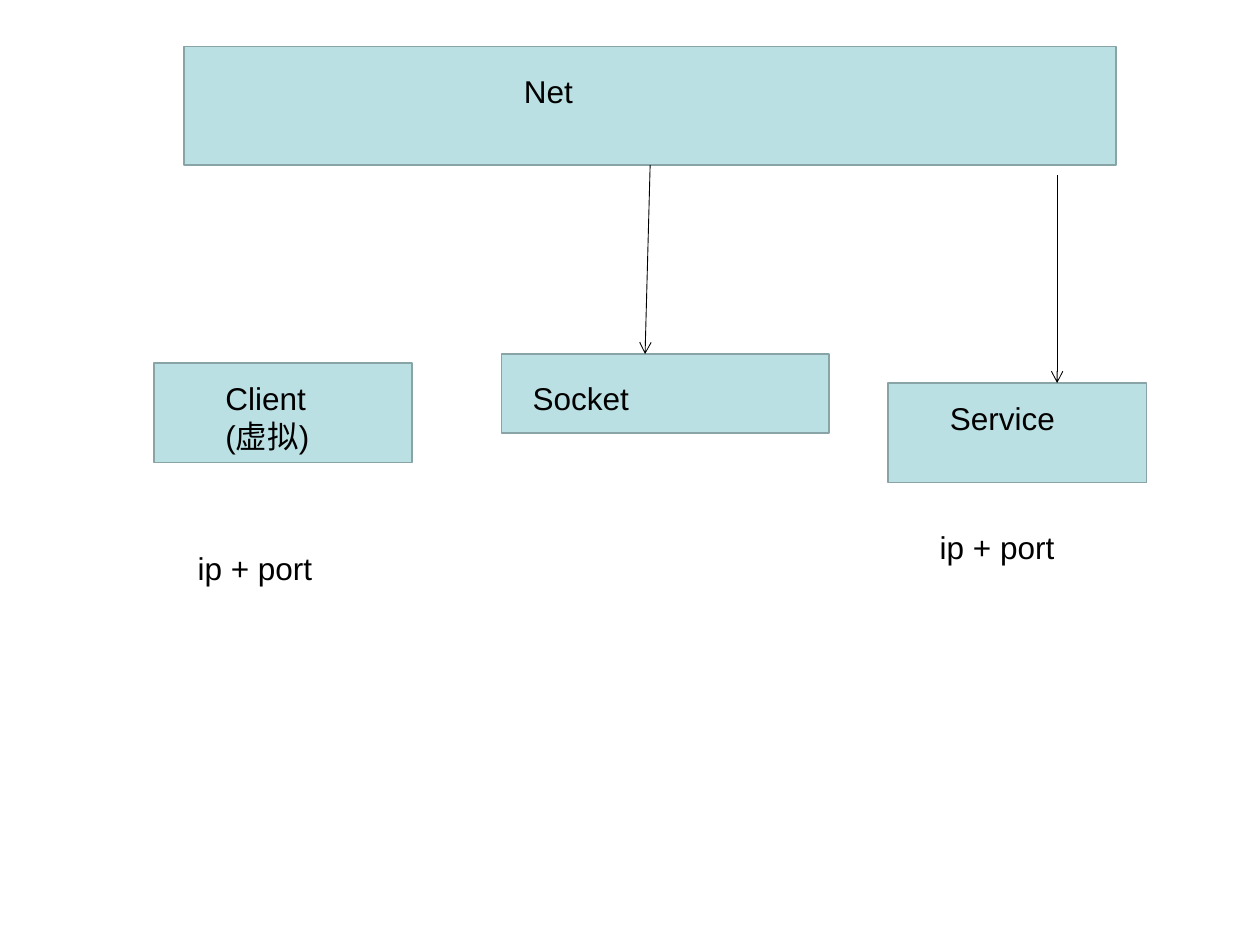
from lxml.etree import SubElement
from pptx import Presentation
from pptx.dml.color import RGBColor
from pptx.enum.shapes import MSO_CONNECTOR as Connector, MSO_SHAPE as Shape
from pptx.enum.text import MSO_AUTO_SIZE as AutoSize
from pptx.oxml.ns import qn
from pptx.util import Inches, Pt

BOX_FILL = RGBColor(0xBB, 0xE0, 0xE3)
BOX_LINE = RGBColor(0x89, 0xA4, 0xA7)
BLACK = RGBColor(0, 0, 0)

FRAME_FORMAT = {"word_wrap": True, "auto_size": AutoSize.SHAPE_TO_FIT_TEXT}
FONT_FORMAT = {"name": "Arial", "size": Pt(18)}

# Boxes: left, top, width, height
NET_BOX = (1.46, 0.37, 7.4, 0.94)
NODE_BOXES = [
    (1.22, 2.88, 2.05, 0.79),  # client
    (7.05, 3.04, 2.05, 0.79),  # service
    (3.98, 2.81, 2.6, 0.63),  # socket
]

# Labels: lines, then left, top, width
LABELS = [
    (["Net"], 4.06, 0.52, 5.83),
    (["Client", "(虚拟)"], 1.69, 2.96, 1.57),
    (["Service"], 7.44, 3.12, 1.57),
    (["Socket"], 4.13, 2.96, 2.13),
    (["ip + port"], 1.47, 4.31, 1.89),
    (["ip + port"], 7.36, 4.14, 1.89),
]


def apply_format(target, values):
    for name, value in values.items():
        setattr(target, name, value)


def add_box(slide, bounds):
    box = slide.shapes.add_shape(Shape.RECTANGLE, *map(Inches, bounds))
    box.shadow.inherit = False
    box.fill.solid()
    box.fill.fore_color.rgb = BOX_FILL
    box.line.color.rgb = BOX_LINE
    box.line.width = Pt(1)
    return box


def add_label(slide, lines, left, top, width):
    height = 0.1 + 0.3 * len(lines)
    label = slide.shapes.add_textbox(*map(Inches, (left, top, width, height)))
    frame = label.text_frame
    apply_format(frame, FRAME_FORMAT)
    frame.text = "\n".join(lines)
    for para in frame.paragraphs:
        for span in para.runs:
            apply_format(span.font, FONT_FORMAT)
            span.font.color.rgb = BLACK


def add_arrow(slide, start, end):
    arrow = slide.shapes.add_connector(Connector.STRAIGHT, *map(Inches, start + end))
    arrow.line.color.rgb = BLACK
    arrow.line.width = Pt(0.5)
    # Open arrowhead at the end, and no shadow
    properties = arrow.element.spPr
    SubElement(properties.find(qn("a:ln")), qn("a:tailEnd"), type="arrow")
    SubElement(properties, qn("a:effectLst"))
    return arrow


def main():
    deck = Presentation()
    deck.slide_width, deck.slide_height = Inches(10), Inches(7.5)
    slide = deck.slides.add_slide(deck.slide_layouts[6])

    # Network parts and their labels
    net = add_box(slide, NET_BOX)
    for bounds in NODE_BOXES:
        add_box(slide, bounds)
    for label in LABELS:
        add_label(slide, *label)

    # Net to socket, and net to service
    to_socket = add_arrow(slide, (5.16, 1.31), (5.12, 2.81))
    to_socket.begin_connect(net, 2)
    add_arrow(slide, (8.39, 1.39), (8.39, 3.04))

    deck.save("out.pptx")


if __name__ == "__main__":
    main()
